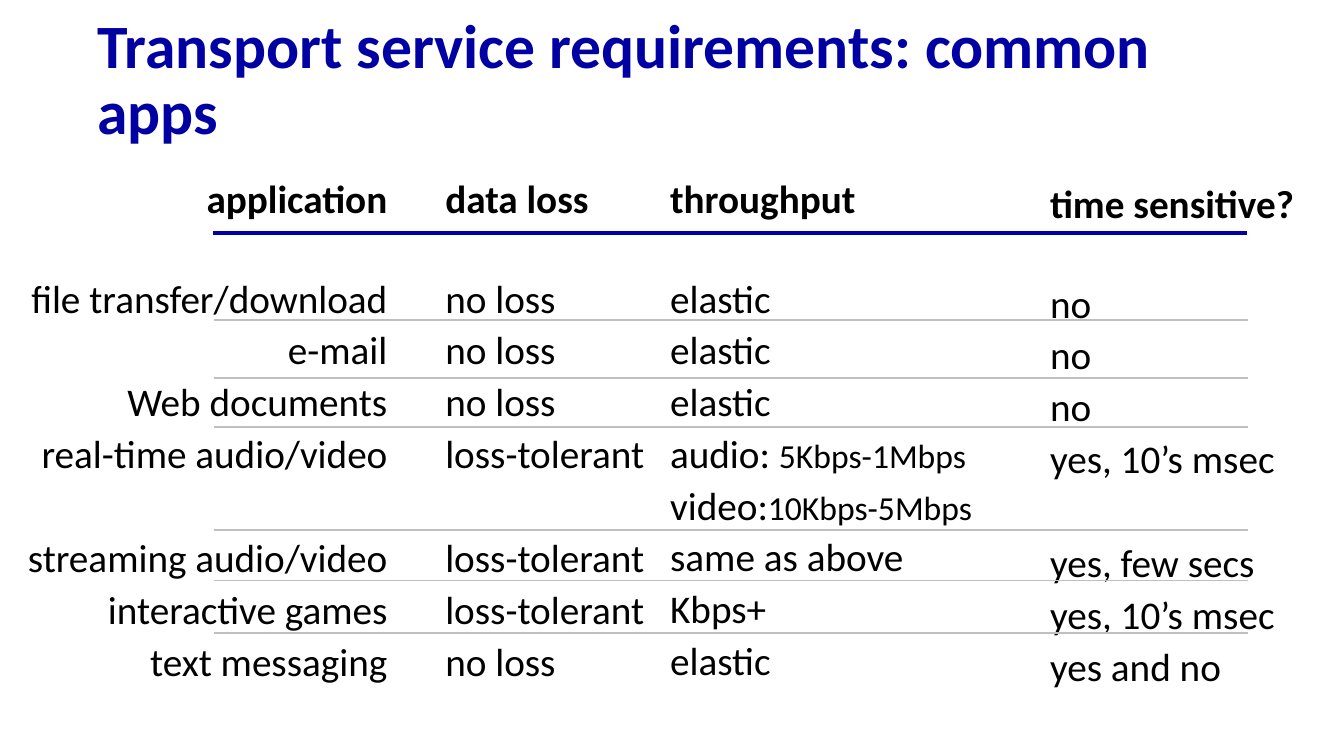
from lxml.etree import SubElement
from pptx import Presentation
from pptx.dml.color import RGBColor
from pptx.enum.shapes import MSO_CONNECTOR as Connector
from pptx.enum.text import MSO_ANCHOR as Anchor, PP_ALIGN as Align
from pptx.oxml.ns import qn
from pptx.util import Pt

COLORS = {"title": "0000A3", "header rule": "0000A8", "row rule": "BFBFBF", "text": "000000"}
LINE_HEIGHT = 34.18  # one 28 pt line
ROW_SPACING = 1.1
COLUMN_HEIGHT = 371.5

# Each column: left, top, width, alignment, heading, rows; None leaves a row empty.
COLUMNS = [
    (9.4, 121, 274.3, Align.RIGHT, "application",
     ["file transfer/download", "e-mail", "Web documents", "real-time audio/video", None,
      "streaming audio/video", "interactive games", "text messaging"]),
    (311, 121, 158.4, Align.LEFT, "data loss",
     ["no loss", "no loss", "no loss", "loss-tolerant", None,
      "loss-tolerant", "loss-tolerant", "no loss"]),
    (471.6, 121, 238.3, Align.LEFT, "throughput",
     ["elastic", "elastic", "elastic", ("audio: ", "5Kbps-1Mbps"), ("video:", "10Kbps-5Mbps"),
      "same as above", "Kbps+", "elastic"]),
    (743, 124.6, 231.1, Align.LEFT, "time sensitive?",
     ["no", "no", "no", "yes, 10’s msec", None,
      "yes, few secs", "yes, 10’s msec", "yes and no"]),
]
ROW_RULES = [228.4, 270, 304.8, 378.8, 414.7, 452.2]


def add_span(para, text, size=28, bold=False, color="text", font="Calibri"):
    span = para.add_run()
    span.text = text
    span.font.name = font
    span.font.size = Pt(size)
    span.font.bold = bold
    span.font.color.rgb = RGBColor.from_string(COLORS[color])


class SlideBuilder:
    def __init__(self, page):
        self.page = page

    def text_frame(self, left, top, width, height, anchor=Anchor.TOP):
        box = self.page.shapes.add_textbox(Pt(left), Pt(top), Pt(width), Pt(height))
        frame = box.text_frame
        frame.word_wrap = True
        frame.vertical_anchor = anchor
        return frame

    def title(self, text):
        para = self.text_frame(62.6, 23, 828, 70.6, Anchor.MIDDLE).paragraphs[0]
        para.line_spacing = 0.9
        add_span(para, text, size=44, bold=True, color="title")

    def column(self, left, top, width, align, heading, rows):
        frame = self.text_frame(left, top, width, COLUMN_HEIGHT)
        para = frame.paragraphs[0]
        para.alignment = align
        add_span(para, heading, bold=True)
        gap = LINE_HEIGHT
        for row in rows:
            if row is None:
                gap += LINE_HEIGHT * ROW_SPACING
                continue
            para = frame.add_paragraph()
            para.alignment = align
            para.line_spacing = ROW_SPACING
            para.space_before = Pt(gap)
            gap = 0
            label, *details = [row] if isinstance(row, str) else row
            add_span(para, label)
            for detail in details:
                add_span(para, detail, size=24)

    def rule(self, left, right, y, color, width):
        line = self.page.shapes.add_connector(
            Connector.STRAIGHT, Pt(left), Pt(y), Pt(right), Pt(y))
        line.line.color.rgb = RGBColor.from_string(COLORS[color])
        line.line.width = Pt(width)
        SubElement(line._element.spPr, qn("a:effectLst"))


def main():
    deck = Presentation()
    deck.slide_width, deck.slide_height = Pt(960), Pt(540)
    builder = SlideBuilder(deck.slides.add_slide(deck.slide_layouts[6]))
    builder.title("Transport service requirements: common apps")
    for column in COLUMNS:
        builder.column(*column)
    builder.rule(152, 890.6, 166.5, "header rule", 2.5)
    for y in ROW_RULES:
        builder.rule(153, 891.6, y, "row rule", 1.25)
    deck.save("out.pptx")


if __name__ == "__main__":
    main()
